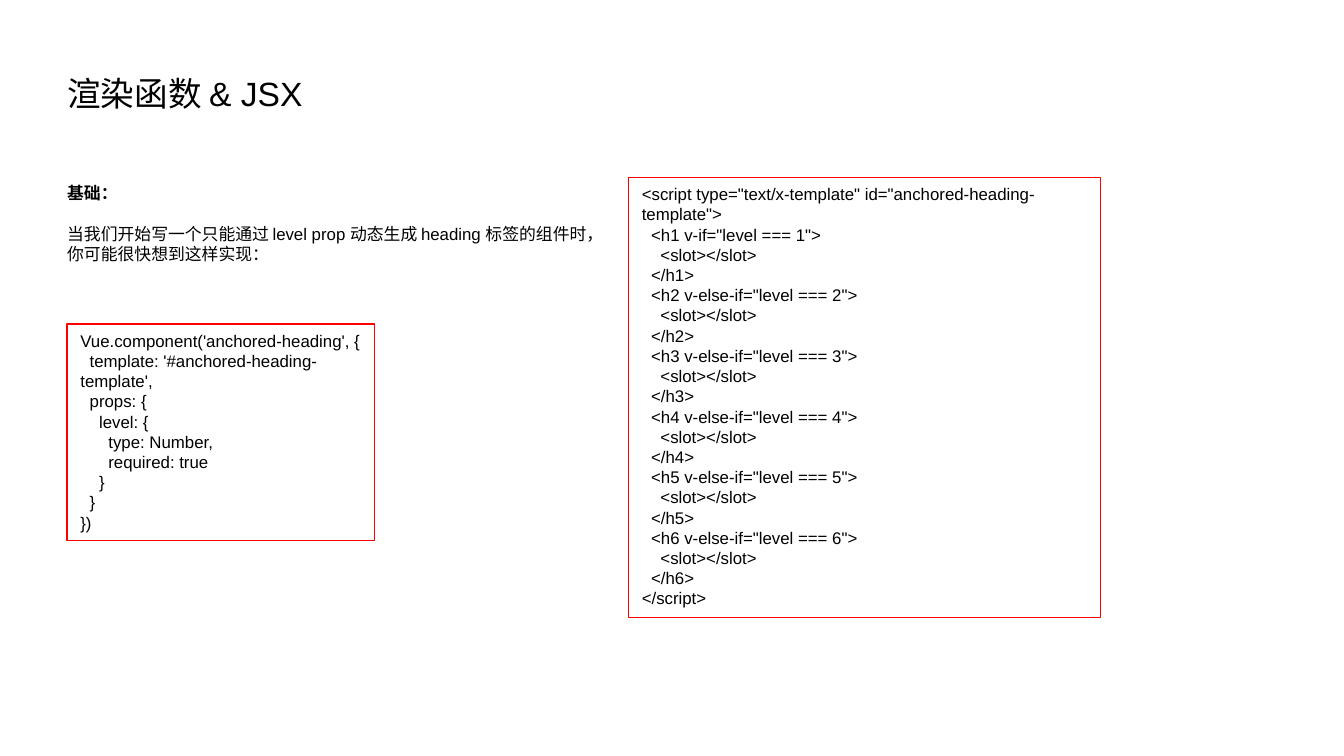
from dataclasses import dataclass

from pptx import Presentation
from pptx.dml.color import RGBColor
from pptx.enum.shapes import MSO_SHAPE
from pptx.enum.text import MSO_ANCHOR, MSO_AUTO_SIZE, PP_ALIGN
from pptx.shapes.base import BaseShape
from pptx.slide import Slide
from pptx.text.text import TextFrame
from pptx.util import Pt

BLACK = RGBColor(0, 0, 0)
RED = RGBColor(255, 0, 0)
FONT = "Arial"
LEFT = 36
TOP = 95


@dataclass
class Box:
    left: float
    top: float
    width: float
    height: float


@dataclass
class Line:
    text: str
    bold: bool = False
    before: float = 0


@dataclass
class Code:
    box: Box
    lines: list[str]


def write(frame: TextFrame, lines: list[Line], size: float) -> None:
    frame.word_wrap = True
    for i, line in enumerate(lines):
        para = frame.paragraphs[0] if i == 0 else frame.add_paragraph()
        para.alignment = PP_ALIGN.LEFT
        if line.before:
            para.space_before = Pt(line.before)
        run = para.add_run()
        run.text = line.text
        font = run.font
        font.name, font.size, font.bold = FONT, Pt(size), line.bold
        font.color.rgb = BLACK


def fill_plain(shape: BaseShape, lines: list[Line], size: float) -> None:
    frame = shape.text_frame
    frame.auto_size = MSO_AUTO_SIZE.NONE
    frame.vertical_anchor = MSO_ANCHOR.MIDDLE
    frame.margin_left = frame.margin_right = Pt(0)
    frame.margin_top = frame.margin_bottom = Pt(0)
    write(frame, lines, size)


def place(box: Box) -> tuple[Pt, Pt, Pt, Pt]:
    return Pt(box.left), Pt(box.top), Pt(box.width), Pt(box.height)


def draw_code(slide: Slide, code: Code) -> None:
    shape = slide.shapes.add_shape(MSO_SHAPE.RECTANGLE, *place(code.box))
    shape.shadow.inherit = False
    shape.fill.background()
    shape.line.color.rgb = RED
    shape.line.width = Pt(0.75)
    frame = shape.text_frame
    frame.vertical_anchor = MSO_ANCHOR.TOP
    frame.auto_size = MSO_AUTO_SIZE.SHAPE_TO_FIT_TEXT
    write(frame, [Line(text) for text in code.lines], 9)


def markup() -> list[str]:
    lines = ['<script type="text/x-template" id="anchored-heading-template">']
    for level in range(1, 7):
        test = "v-if" if level == 1 else "v-else-if"
        lines += [
            f'  <h{level} {test}="level === {level}">',
            "    <slot></slot>",
            f"  </h{level}>",
        ]
    return lines + ["</script>"]


INTRO = [
    Line("基础：", bold=True),
    Line(
        "当我们开始写一个只能通过 level prop 动态生成 heading 标签的组件时，你可能很快想到这样实现：",
        before=11,
    ),
]
SETUP = [
    "Vue.component('anchored-heading', {",
    "  template: '#anchored-heading-template',",
    "  props: {",
    "    level: {",
    "      type: Number,",
    "      required: true",
    "    }",
    "  }",
    "})",
]
CODES = [
    Code(Box(336.75, TOP, 252.75, 236), markup()),
    Code(Box(LEFT, 173.5, 164.75, 116), SETUP),
]


def main() -> None:
    deck = Presentation()
    deck.slide_width, deck.slide_height = Pt(720), Pt(405)
    slide = deck.slides.add_slide(deck.slide_layouts[5])
    title = slide.shapes.title
    title.left, title.top, title.width, title.height = place(
        Box(LEFT, 16, 648, 67.5)
    )
    fill_plain(title, [Line("渲染函数 & JSX")], 18)
    intro = slide.shapes.add_textbox(*place(Box(LEFT, TOP, 284.5, 49.5)))
    fill_plain(intro, INTRO, 9)
    for code in CODES:
        draw_code(slide, code)
    deck.save("out.pptx")


if __name__ == "__main__":
    main()
